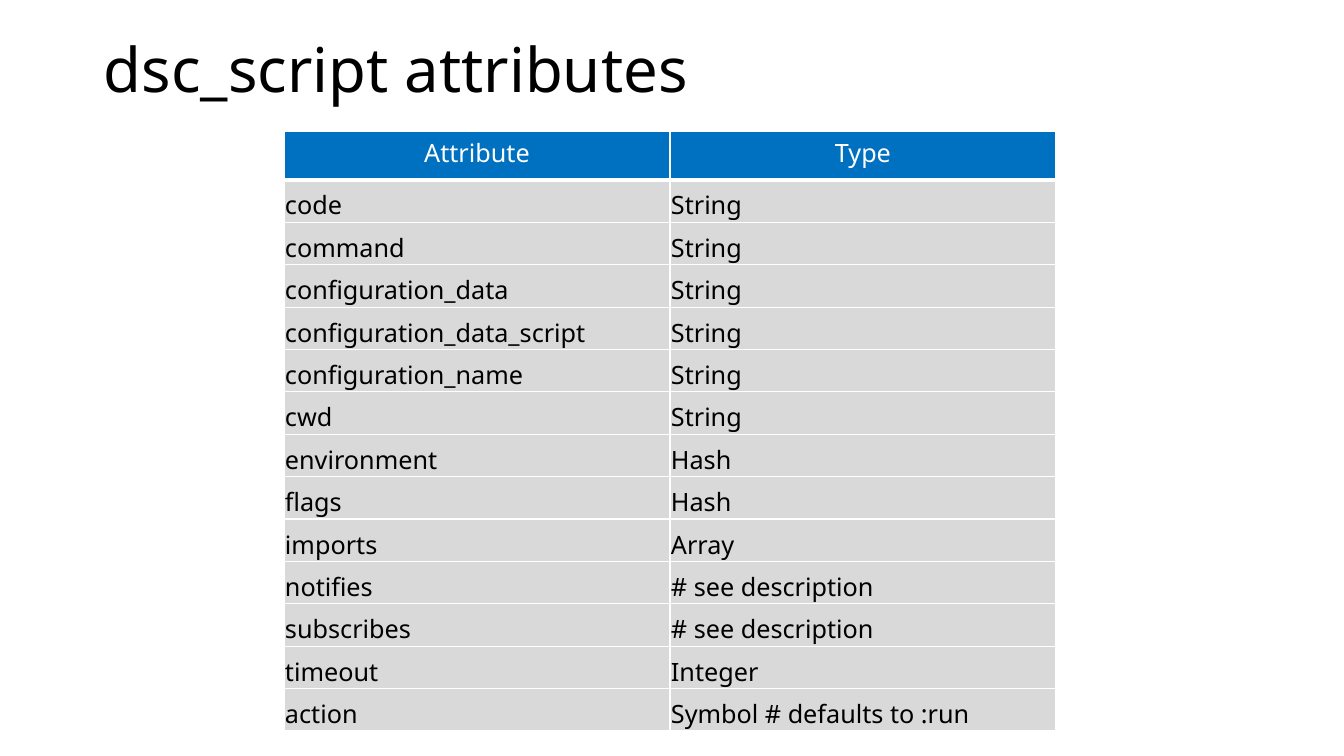
from dataclasses import dataclass

from lxml.etree import SubElement
from pptx import Presentation
from pptx.dml.color import RGBColor
from pptx.enum.text import MSO_ANCHOR, PP_ALIGN
from pptx.oxml.ns import qn
from pptx.util import Emu, Pt

PIXEL = 914400 / 100.8
FONT = "Noto Sans"
BLACK, WHITE, BLUE, GRAY = "000000", "FFFFFF", "0070C0", "D9D9D9"


@dataclass(frozen=True)
class CellStyle:
    fill: str
    ink: str
    align: PP_ALIGN
    anchor: MSO_ANCHOR
    margins: tuple[int, int, int, int]
    bottom_border: int


HEADER = CellStyle(BLUE, WHITE, PP_ALIGN.CENTER, MSO_ANCHOR.TOP, (10, 5, 10, 5), 3)
BODY = CellStyle(GRAY, BLACK, PP_ALIGN.LEFT, MSO_ANCHOR.BOTTOM, (1, 1, 1, 0), 1)

ROWS = [
    ("Attribute", "Type"),
    ("code", "String"),
    ("command", "String"),
    ("configuration_data", "String"),
    ("configuration_data_script", "String"),
    ("configuration_name", "String"),
    ("cwd", "String"),
    ("environment", "Hash"),
    ("flags", "Hash"),
    ("imports", "Array"),
    ("notifies", "# see description"),
    ("subscribes", "# see description"),
    ("timeout", "Integer"),
    ("action", "Symbol # defaults to :run"),
]

TABLE_LEFT, TABLE_TOP = 284, 131
COLUMN_WIDTH, HEADER_HEIGHT, BODY_HEIGHT = 386, 49, 551


def px(pixels: float) -> Emu:
    return Emu(round(pixels * PIXEL))


def color(code: str) -> RGBColor:
    return RGBColor.from_string(code)


def format_paragraph(para, size: int, ink: str, align: PP_ALIGN) -> None:
    para.alignment = align
    for span in para.runs:
        span.font.name = FONT
        span.font.size = Pt(size)
        span.font.color.rgb = color(ink)


def add_borders(cell, bottom_border: int) -> None:
    properties = cell._tc.get_or_add_tcPr()
    for side, width in (("L", 1), ("R", 1), ("T", 1), ("B", bottom_border)):
        line = SubElement(properties, qn(f"a:ln{side}"), w=str(Pt(width)))
        fill = SubElement(line, qn("a:solidFill"))
        SubElement(fill, qn("a:srgbClr"), val=WHITE)


def fill_cell(cell, text: str, style: CellStyle) -> None:
    add_borders(cell, style.bottom_border)
    cell.fill.solid()
    cell.fill.fore_color.rgb = color(style.fill)
    cell.vertical_anchor = style.anchor
    cell.margin_left, cell.margin_top, cell.margin_right, cell.margin_bottom = map(px, style.margins)
    cell.text_frame.text = text
    format_paragraph(cell.text_frame.paragraphs[0], 18, style.ink, style.align)


def add_title(page, text: str) -> None:
    box = page.shapes.add_textbox(px(94), px(0), px(1159), px(146))
    frame = box.text_frame
    frame.word_wrap = True
    frame.vertical_anchor = MSO_ANCHOR.MIDDLE
    frame.text = text
    para = frame.paragraphs[0]
    para.line_spacing = 0.9
    format_paragraph(para, 44, BLACK, PP_ALIGN.LEFT)


def add_attribute_table(page) -> None:
    column_count = len(ROWS[0])
    table = page.shapes.add_table(
        len(ROWS), column_count, px(TABLE_LEFT), px(TABLE_TOP),
        px(COLUMN_WIDTH * column_count), px(HEADER_HEIGHT + BODY_HEIGHT),
    ).table
    for column in table.columns:
        column.width = px(COLUMN_WIDTH)
    for index, texts in enumerate(ROWS):
        height = BODY_HEIGHT / (len(ROWS) - 1) if index else HEADER_HEIGHT
        table.rows[index].height = px(height)
        for cell, text in zip(table.rows[index].cells, texts):
            fill_cell(cell, text, BODY if index else HEADER)


deck = Presentation()
deck.slide_width, deck.slide_height = px(1344), px(756)
page = deck.slides.add_slide(deck.slide_layouts[6])
add_title(page, "dsc_script attributes")
add_attribute_table(page)
deck.save("out.pptx")
